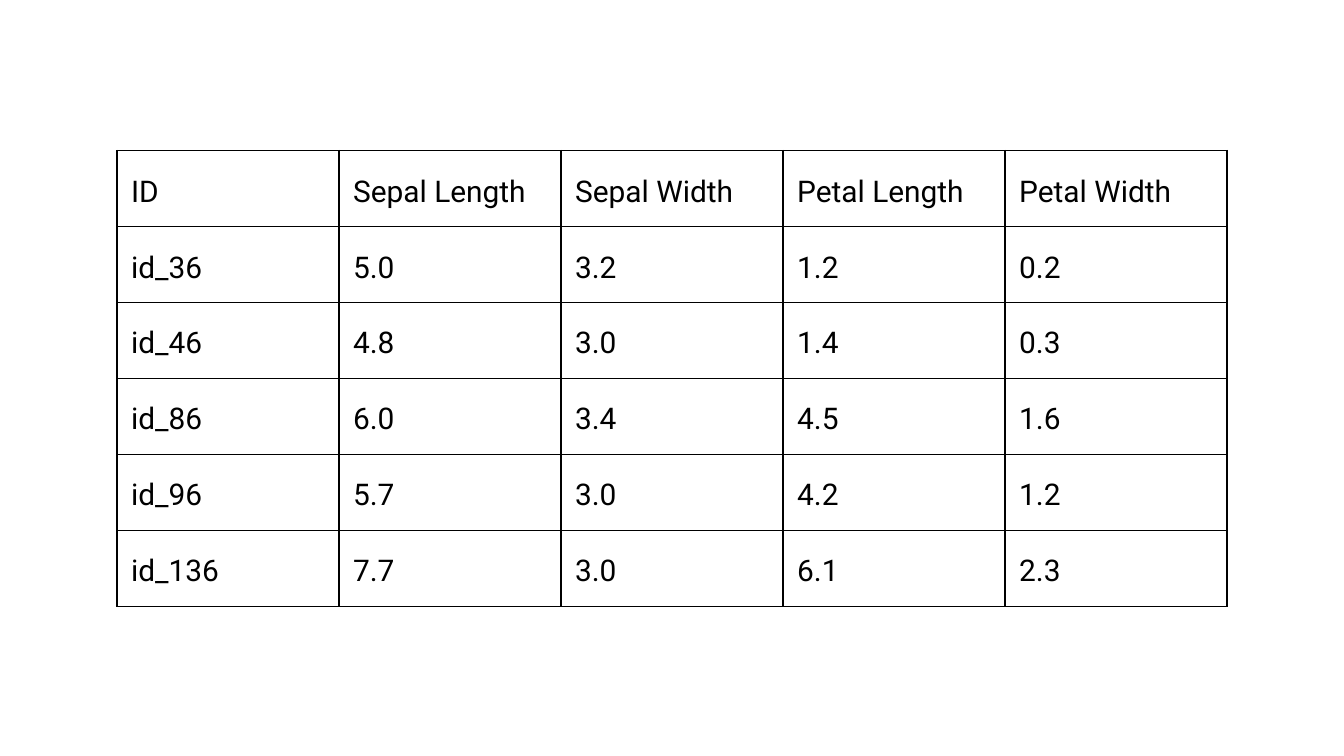
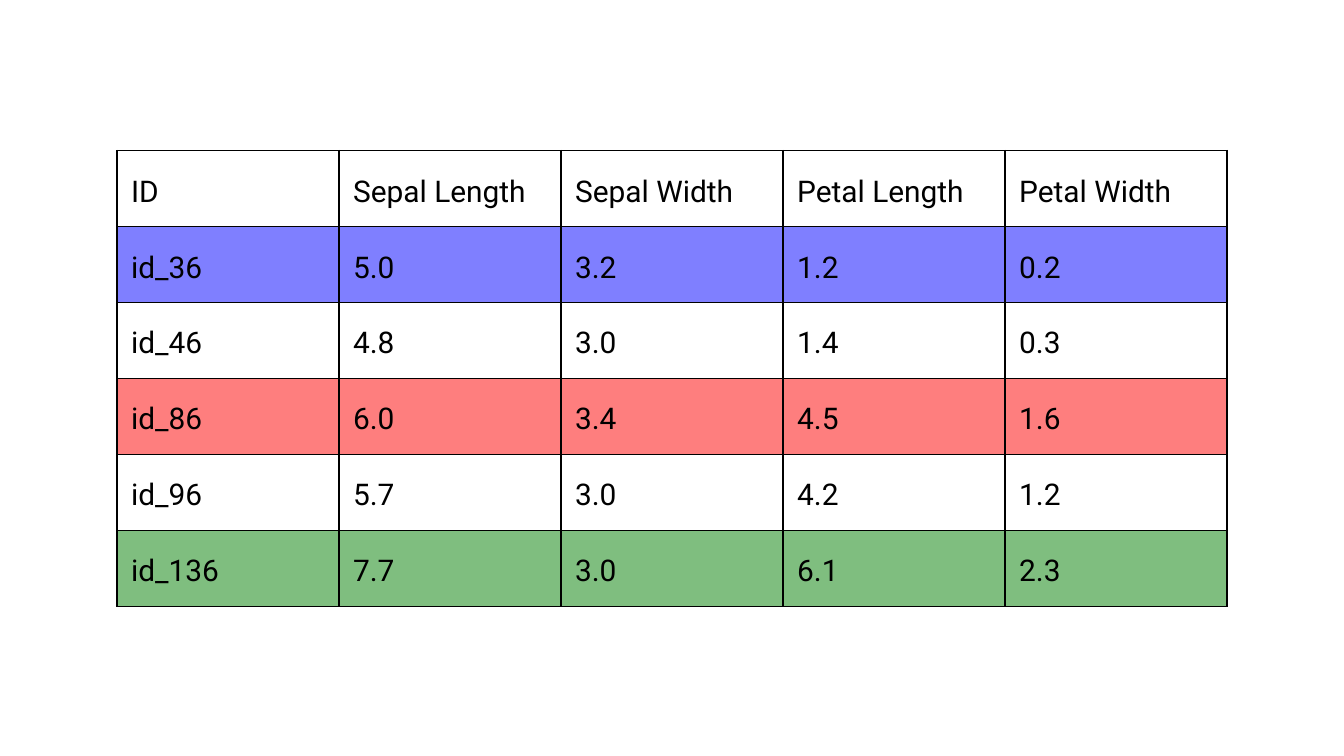
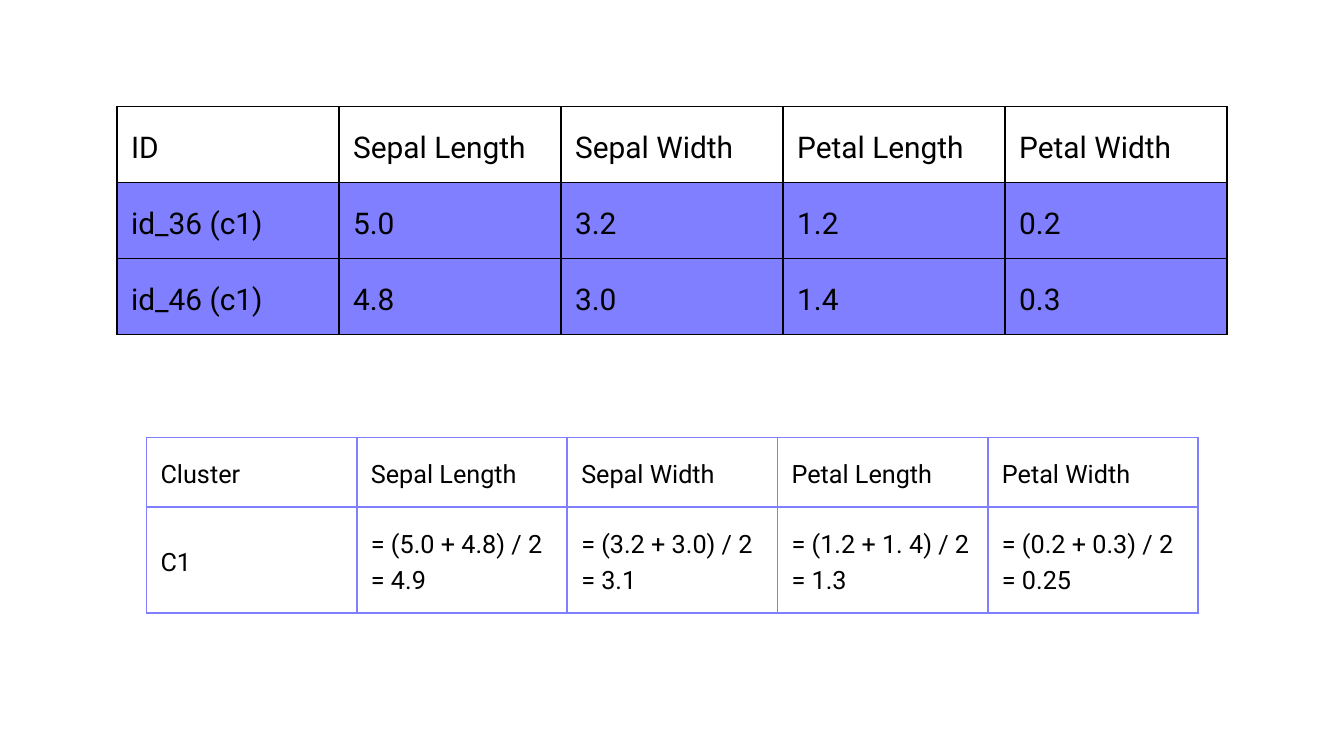
import pptx
import pptx.dml.color
import pptx.enum.text
import pptx.oxml
import pptx.oxml.ns
import pptx.util

Inches = pptx.util.Inches

COLORS = {
    "page": "FFFFFF",
    "ink": "000000",
    "cluster_1": "7F7FFF",
    "cluster_2": "FE7E7E",
    "cluster_3": "7FBE7F",
}
FONT = "Roboto"
LINE_SPACING = 1.4
BLANK_LAYOUT = 6

FEATURES = ["Sepal Length", "Sepal Width", "Petal Length", "Petal Width"]
SAMPLES = [
    ["id_36", "5.0", "3.2", "1.2", "0.2"],
    ["id_46", "4.8", "3.0", "1.4", "0.3"],
    ["id_86", "6.0", "3.4", "4.5", "1.6"],
    ["id_96", "5.7", "3.0", "4.2", "1.2"],
    ["id_136", "7.7", "3.0", "6.1", "2.3"],
]
CENTROID = [
    "C1",
    "= (5.0 + 4.8) / 2\n= 4.9",
    "= (3.2 + 3.0) / 2\n= 3.1",
    "= (1.2 + 1. 4) / 2\n= 1.3",
    "= (0.2 + 0.3) / 2\n= 0.25",
]

# Formats of the two kinds of table
SAMPLE_STYLE = {"size": 32, "border": "ink", "border_width": 1.5}
CENTROID_STYLE = {"size": 27, "border": "cluster_1", "border_width": 2.25}

TABLE_FLAGS = {"first_row": False, "horz_banding": False}
CELL_FORMAT = {
    "margin_left": Inches(0.21),
    "margin_right": Inches(0.21),
    "margin_top": Inches(0.21),
    "margin_bottom": Inches(0.21),
    "vertical_anchor": pptx.enum.text.MSO_ANCHOR.MIDDLE,
}


def set_all(target, formats):
    for name, value in formats.items():
        setattr(target, name, value)


def rgb(name):
    return pptx.dml.color.RGBColor.from_string(COLORS[name])


def add_page(deck):
    page = deck.slides.add_slide(deck.slide_layouts[BLANK_LAYOUT])
    page.background.fill.solid()
    page.background.fill.fore_color.rgb = rgb("page")
    return page


def set_borders(cell, color, width):
    """Draw the four cell edges, which must precede the fill in the XML."""
    properties = cell._tc.get_or_add_tcPr()
    for position, edge in enumerate(("lnL", "lnR", "lnT", "lnB")):
        line = pptx.oxml.parse_xml(
            f'<a:{edge} {pptx.oxml.ns.nsdecls("a")} w="{pptx.util.Pt(width)}">'
            f'<a:solidFill><a:srgbClr val="{COLORS[color]}"/></a:solidFill>'
            f'</a:{edge}>'
        )
        properties.insert(position, line)


def fill_cell(cell, text, style, fill):
    set_all(cell, CELL_FORMAT)
    cell.text = text
    for para in cell.text_frame.paragraphs:
        para.line_spacing = pptx.util.Pt(style["size"] * LINE_SPACING)
        for span in para.runs:
            set_all(span.font, {"name": FONT, "size": pptx.util.Pt(style["size"])})
            span.font.color.rgb = rgb("ink")
    if fill:
        cell.fill.solid()
        cell.fill.fore_color.rgb = rgb(fill)
    else:
        cell.fill.background()
    set_borders(cell, style["border"], style["border_width"])


def add_grid(page, rows, style, left, top, width, heights, fills=None):
    """Add a table with equal columns; fills maps a row number to a colour."""
    fills = fills or {}
    frame = page.shapes.add_table(
        len(rows), len(rows[0]),
        Inches(left), Inches(top), Inches(width), Inches(sum(heights)),
    )
    table = frame.table
    set_all(table, TABLE_FLAGS)
    for column in table.columns:
        column.width = Inches(width / len(rows[0]))
    for number, (texts, height) in enumerate(zip(rows, heights)):
        table.rows[number].height = Inches(height)
        for cell, text in zip(table.rows[number].cells, texts):
            fill_cell(cell, text, style, fills.get(number))


def add_samples(page, samples, top, fills=None):
    rows = [["ID"] + FEATURES] + samples
    add_grid(page, rows, SAMPLE_STYLE, 1.74, top, 16.52, [1.13] * len(rows), fills)


def main():
    deck = pptx.Presentation()
    set_all(deck, {"slide_width": Inches(20), "slide_height": Inches(11.25)})

    # Samples
    add_samples(add_page(deck), SAMPLES, 2.24)

    # One sample picked as the start of each cluster
    seeds = {1: "cluster_1", 3: "cluster_2", 5: "cluster_3"}
    add_samples(add_page(deck), SAMPLES, 2.24, seeds)

    # Members of the first cluster and their mean
    page = add_page(deck)
    members = [[f"{name} (c1)"] + values for name, *values in SAMPLES[:2]]
    add_samples(page, members, 1.59, {1: "cluster_1", 2: "cluster_1"})
    add_grid(page, [["Cluster"] + FEATURES, CENTROID], CENTROID_STYLE,
             2.18, 6.51, 15.65, [1.04, 1.57])

    deck.save("out.pptx")


if __name__ == "__main__":
    main()
